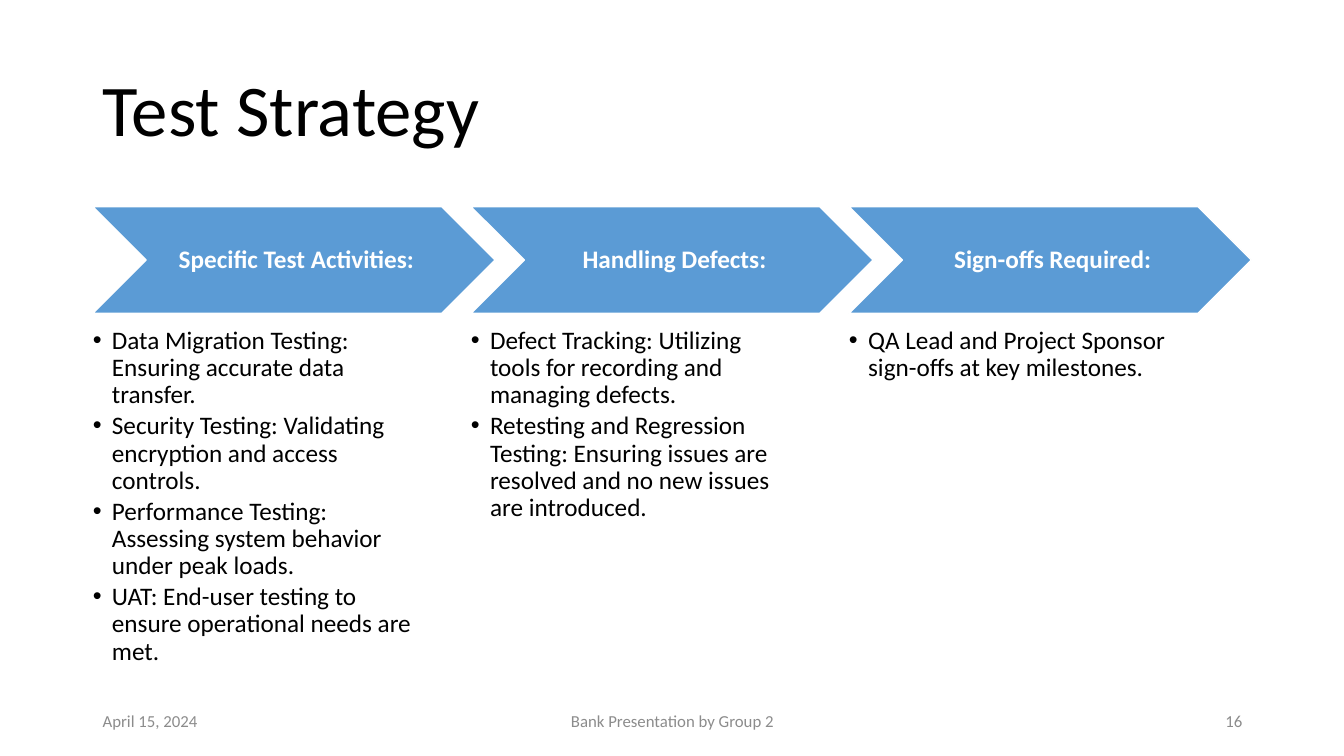
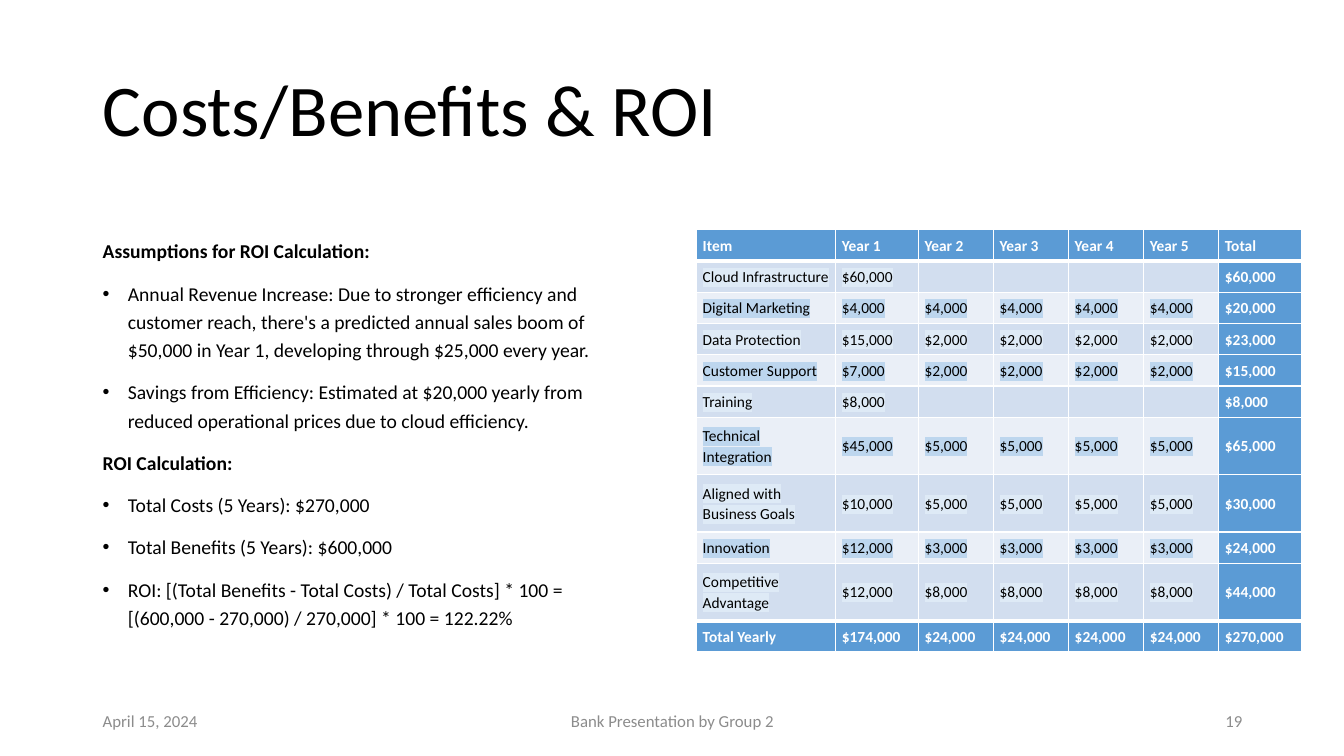
from lxml import etree
from pptx import Presentation
from pptx.dml.color import RGBColor
from pptx.enum import shapes, text
from pptx.oxml import ns
from pptx.util import Inches, Pt

FONT = "Calibri"
BLACK, WHITE, GRAY, BLUE = "000000", "FFFFFF", "8C8C8C", "5B9BD5"
BANDS = [("D2DEEF", "DEEAF6"), ("EAEFF7", "BDD6EE")]  # cell fill, text highlight
LEFT = 0.92
CENTER, RIGHT = text.PP_ALIGN.CENTER, text.PP_ALIGN.RIGHT
MIDDLE = text.MSO_ANCHOR.MIDDLE

ACTIVITIES = [
    ("Specific Test Activities:", [
        "Data Migration Testing: Ensuring accurate data transfer.",
        "Security Testing: Validating encryption and access controls.",
        "Performance Testing: Assessing system behavior under peak loads.",
        "UAT: End-user testing to ensure operational needs are met."]),
    ("Handling Defects:", [
        "Defect Tracking: Utilizing tools for recording and managing defects.",
        "Retesting and Regression Testing: Ensuring issues are resolved "
        "and no new issues are introduced."]),
    ("Sign-offs Required:", [
        "QA Lead and Project Sponsor sign-offs at key milestones."]),
]

ROI_SECTIONS = [
    ("Assumptions for ROI Calculation:", [
        "Annual Revenue Increase: Due to stronger efficiency and customer reach, "
        "there's a predicted annual sales boom of $50,000 in Year 1, "
        "developing through $25,000 every year.",
        "Savings from Efficiency: Estimated at $20,000 yearly from reduced "
        "operational prices due to cloud efficiency."]),
    ("ROI Calculation:", [
        "Total Costs (5 Years): $270,000",
        "Total Benefits (5 Years): $600,000",
        "ROI: [(Total Benefits - Total Costs) / Total Costs] * 100 = "
        "[(600,000 - 270,000) / 270,000] * 100 = 122.22%"]),
]

# Item, first year, each later year, total
COSTS = [
    ("Cloud Infrastructure", 60000, None, 60000),
    ("Digital Marketing", 4000, 4000, 20000),
    ("Data Protection", 15000, 2000, 23000),
    ("Customer Support", 7000, 2000, 15000),
    ("Training", 8000, None, 8000),
    ("Technical Integration", 45000, 5000, 65000),
    ("Aligned with Business Goals", 10000, 5000, 30000),
    ("Innovation", 12000, 3000, 24000),
    ("Competitive Advantage", 12000, 8000, 44000),
    ("Total Yearly", 174000, 24000, 270000),
]
TWO_LINE_ITEMS = {"Technical Integration", "Aligned with Business Goals",
                  "Competitive Advantage"}


def rgb(value):
    return RGBColor.from_string(value)


def box(left, top, width, height):
    return [Inches(n) for n in (left, top, width, height)]


def style(paragraph, size, color=BLACK, bold=False, align=text.PP_ALIGN.LEFT,
          line=1.0, before=0, after=0):
    paragraph.alignment = align
    paragraph.line_spacing = line
    paragraph.space_before, paragraph.space_after = Pt(before), Pt(after)
    for run in paragraph.runs:
        run.font.name, run.font.size, run.font.bold = FONT, Pt(size), bold
        run.font.color.rgb = rgb(color)


def set_margins(target, left, top, right, bottom):
    target.margin_left, target.margin_top = Inches(left), Inches(top)
    target.margin_right, target.margin_bottom = Inches(right), Inches(bottom)


def add_bullet(paragraph, indent):
    properties = paragraph._p.get_or_add_pPr()
    properties.set("marL", str(Inches(indent)))
    properties.set("indent", str(-Inches(indent)))
    etree.SubElement(properties, ns.qn("a:buFont"), typeface="Arial")
    etree.SubElement(properties, ns.qn("a:buChar"), char="•")


def add_text_frame(slide, *place):
    frame = slide.shapes.add_textbox(*box(*place)).text_frame
    frame.word_wrap = True
    return frame


def next_paragraph(frame):
    first = frame.paragraphs[0]
    return frame.add_paragraph() if first.text else first


def add_footer(slide, content, left, width, align):
    frame = add_text_frame(slide, left, 6.95, width, 0.4)
    frame.vertical_anchor = MIDDLE
    frame.text = content
    style(frame.paragraphs[0], 12, GRAY, align=align)


def new_slide(deck, title, number):
    """Add a slide with the shared title and footers."""
    slide = deck.slides.add_slide(deck.slide_layouts[5])
    heading = slide.shapes.title
    heading.left, heading.top, heading.width, heading.height = box(LEFT, 0.4, 11.5, 1.45)
    frame = heading.text_frame
    frame.text = title
    frame.word_wrap = True
    frame.auto_size = text.MSO_AUTO_SIZE.NONE
    frame.vertical_anchor = MIDDLE
    style(frame.paragraphs[0], 52, line=0.9)
    add_footer(slide, "April 15, 2024", LEFT, 3, text.PP_ALIGN.LEFT)
    add_footer(slide, "Bank Presentation by Group 2", 4.42, 4.5, CENTER)
    add_footer(slide, str(number), 9.42, 3, RIGHT)
    return slide


def add_step(slide, left, heading, details):
    """Add a chevron with its bullet list below."""
    chevron = slide.shapes.add_shape(shapes.MSO_SHAPE.CHEVRON, *box(left, 2.05, 3.99, 1.06))
    chevron.shadow.inherit = False
    chevron.fill.solid()
    chevron.fill.fore_color.rgb = rgb(BLUE)
    chevron.line.color.rgb = rgb(WHITE)
    chevron.line.width = Pt(1)
    label = chevron.text_frame
    set_margins(label, 0.08, 0.03, 0.03, 0.03)
    label.word_wrap = True
    label.vertical_anchor = MIDDLE
    label.text = heading
    style(label.paragraphs[0], 18, WHITE, True, CENTER, 0.9)

    frame = add_text_frame(slide, left, 3.25, 3.19, 3.45)
    set_margins(frame, 0, 0, 0, 0)
    for detail in details:
        paragraph = next_paragraph(frame)
        paragraph.text = detail
        style(paragraph, 18, line=0.9, after=2.7)
        add_bullet(paragraph, 0.19)


def add_sections(slide, sections):
    frame = add_text_frame(slide, LEFT, 2.35, 5.5, 4.41)
    for heading, details in sections:
        paragraph = next_paragraph(frame)
        is_first = heading == sections[0][0]
        paragraph.text = heading
        style(paragraph, 14, bold=True, line=0.9 if is_first else 1.2,
              before=0 if is_first else 10)
        for detail in details:
            paragraph = next_paragraph(frame)
            paragraph.text = detail
            style(paragraph, 14, line=1.2, before=10)
            add_bullet(paragraph, 0.25)


def highlight(run, color):
    mark = etree.Element(ns.qn("a:highlight"))
    etree.SubElement(mark, ns.qn("a:srgbClr"), val=color)
    run.font._element.find(ns.qn("a:solidFill")).addnext(mark)


def set_borders(cell, top, bottom):
    """Draw white borders, with top and bottom widths in points."""
    properties = cell._tc.get_or_add_tcPr()
    sides = [("a:lnL", 1), ("a:lnR", 1), ("a:lnT", top), ("a:lnB", bottom)]
    for position, (side, width) in enumerate(sides):
        border = etree.Element(ns.qn(side), w=str(Pt(width)))
        fill = etree.SubElement(border, ns.qn("a:solidFill"))
        etree.SubElement(fill, ns.qn("a:srgbClr"), val=WHITE)
        properties.insert(position, border)


def fill_cell(cell, content, fill, mark=None):
    """Fill a cell; without a mark colour it is a bold white heading."""
    cell.fill.solid()
    cell.fill.fore_color.rgb = rgb(fill)
    cell.vertical_anchor = MIDDLE
    set_margins(cell, 0.06, 0, 0.06, 0)
    if not content:
        return
    cell.text = content
    paragraph = cell.text_frame.paragraphs[0]
    style(paragraph, 11, BLACK if mark else WHITE, not mark, line=1.07, after=8)
    if mark:
        highlight(paragraph.runs[0], mark)


def money(amount):
    return f"${amount:,}" if amount else ""


def add_cost_table(slide):
    rows = [["Item", *(f"Year {year}" for year in range(1, 6)), "Total"]]
    for item, first, later, total in COSTS:
        rows.append([item, *map(money, [first] + [later] * 4 + [total])])
    heights = [0.57 if row[0] in TWO_LINE_ITEMS else 0.31 for row in rows]
    year_width = (6 - 1.38 - 2 * 0.82) / 4
    widths = [1.38, 0.82] + [year_width] * 4 + [0.82]
    place = box(6.91, 2.28, sum(widths), sum(heights))
    table = slide.shapes.add_table(len(rows), len(widths), *place).table
    table.horz_banding = False
    for column, width in zip(table.columns, widths):
        column.width = Inches(width)

    last_row, last_column = len(rows) - 1, len(widths) - 1
    for r, values in enumerate(rows):
        table.rows[r].height = Inches(heights[r])
        for c, value in enumerate(values):
            cell = table.cell(r, c)
            if r in (0, last_row) or c == last_column:
                fill_cell(cell, value, BLUE)
            else:
                fill_cell(cell, value, *BANDS[(r - 1) % 2])
            set_borders(cell, top=3 if r in (1, last_row) else 1,
                        bottom=3 if r in (0, last_row - 1) else 1)


def main():
    deck = Presentation()
    deck.slide_width, deck.slide_height = Inches(13.33), Inches(7.5)

    strategy = new_slide(deck, "Test Strategy", 16)
    for index, (heading, details) in enumerate(ACTIVITIES):
        add_step(strategy, LEFT + index * 3.75, heading, details)

    costs = new_slide(deck, "Costs/Benefits & ROI", 19)
    add_sections(costs, ROI_SECTIONS)
    add_cost_table(costs)

    deck.save("out.pptx")


if __name__ == "__main__":
    main()
